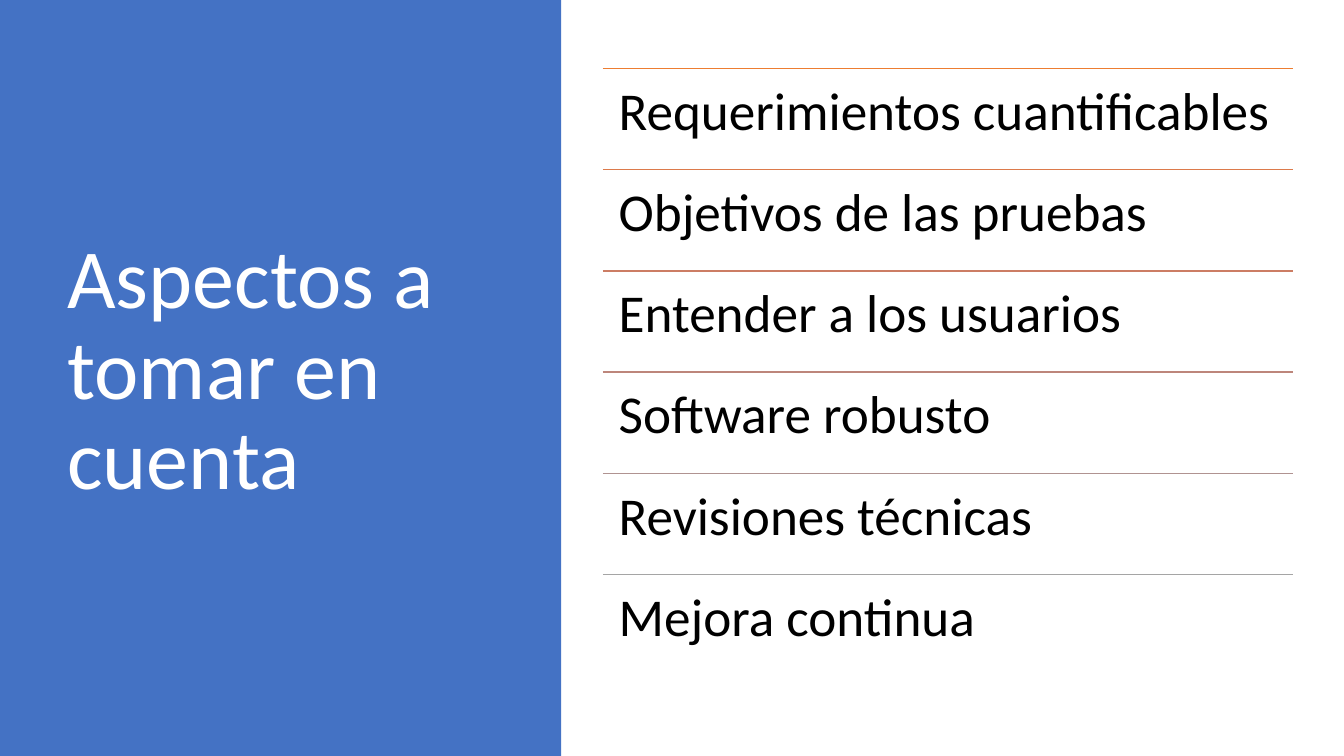
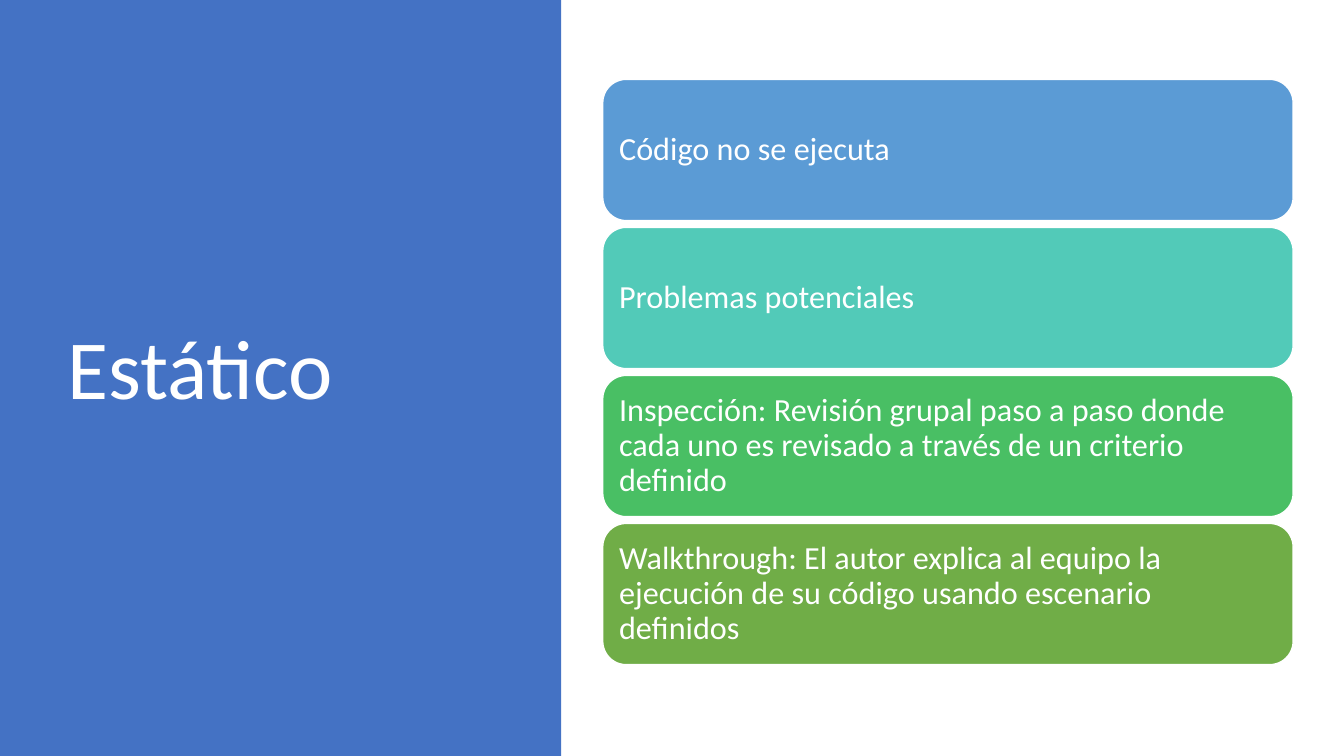
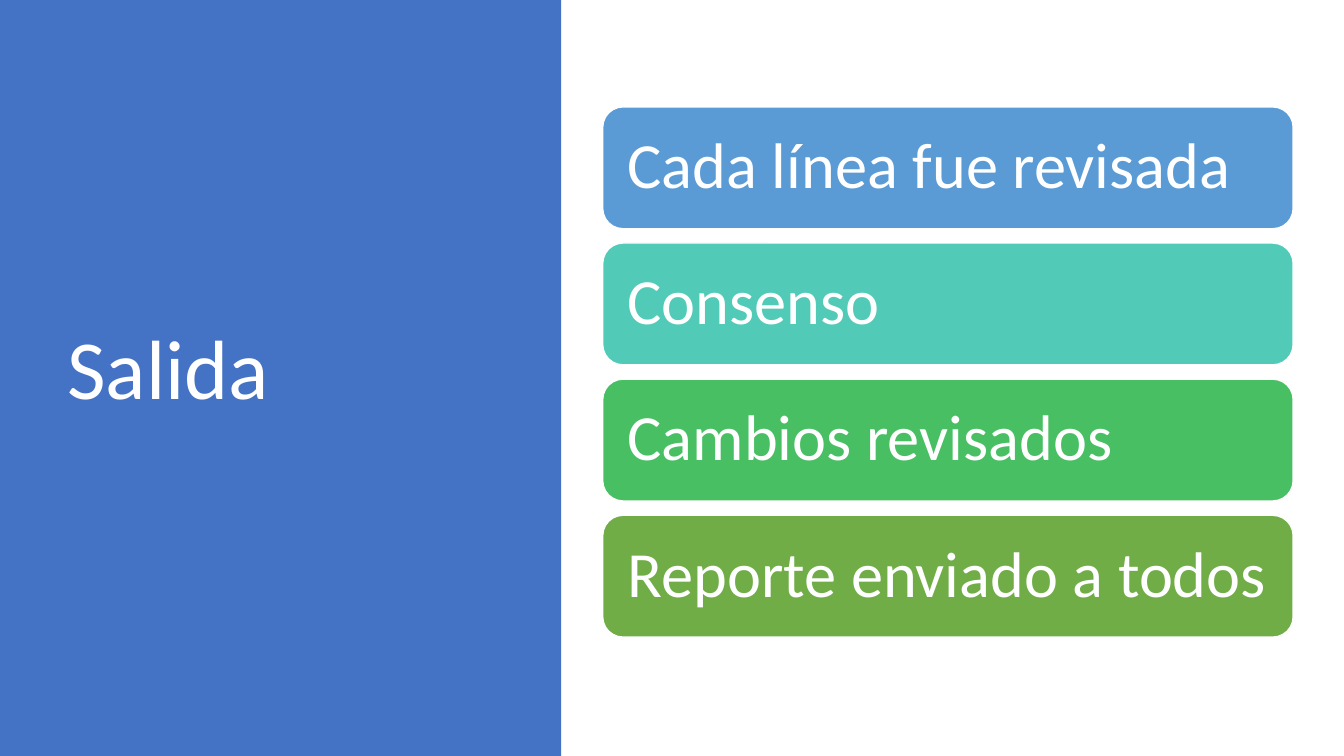
from dataclasses import dataclass
from typing import Any

from lxml import etree
from pptx import Presentation
from pptx.dml.color import RGBColor
from pptx.enum.shapes import MSO_CONNECTOR, MSO_SHAPE
from pptx.enum.text import MSO_ANCHOR, PP_ALIGN
from pptx.oxml.ns import qn
from pptx.util import Cm, Pt

RECTANGLE = MSO_SHAPE.RECTANGLE
ROUNDED_RECTANGLE = MSO_SHAPE.ROUNDED_RECTANGLE
STRAIGHT = MSO_CONNECTOR.STRAIGHT
TOP = MSO_ANCHOR.TOP
MIDDLE = MSO_ANCHOR.MIDDLE
LEFT = PP_ALIGN.LEFT
BLANK_LAYOUT = 6


@dataclass(frozen=True)
class Theme:
    font: str = "Calibri"
    panel: str = "4472C4"
    light: str = "FFFFFF"
    dark: str = "000000"
    rules: tuple[str, ...] = ("ED7D31", "DC7A4B", "CC7D64", "BD867B", "B09391", "A5A5A5")
    cards: tuple[str, ...] = ("5B9BD5", "52CAB8", "49BF64", "70AD47")
    title_size: int = 60
    row_size: int = 38
    long_card_size: int = 23
    short_card_size: int = 46
    line_spacing: float = 0.9
    line_width: int = 1


@dataclass(frozen=True)
class Box:
    """A rectangle in centimetres."""
    left: float
    top: float
    width: float
    height: float

    def lengths(self) -> tuple[Cm, Cm, Cm, Cm]:
        return Cm(self.left), Cm(self.top), Cm(self.width), Cm(self.height)


@dataclass(frozen=True)
class TextStyle:
    size: int
    color: str
    anchor: MSO_ANCHOR
    inset_x: float
    inset_y: float


@dataclass(frozen=True)
class ItemStack:
    """Equal items, stacked around the middle of the title."""
    items: tuple[str, ...]
    height: float
    gap: float
    style: TextStyle

    def boxes(self) -> list[Box]:
        pitch = self.height + self.gap
        total = pitch * len(self.items) - self.gap
        top = TITLE.top + (TITLE.height - total) / 2
        return [
            Box(STACK_LEFT, top + index * pitch, STACK_WIDTH, self.height)
            for index in range(len(self.items))
        ]


THEME = Theme()
SLIDE_WIDTH, SLIDE_HEIGHT = 33.87, 19.05
PANEL = Box(0, 0, 14.14, SLIDE_HEIGHT)
TITLE = Box(1.45, 1.73, 10.57, 15.29)
STACK_LEFT, STACK_WIDTH = 15.19, 17.4

TITLE_STYLE = TextStyle(THEME.title_size, THEME.light, MIDDLE, 0.25, 0.13)
ROW_STYLE = TextStyle(THEME.row_size, THEME.dark, TOP, 0.4, 0.4)
LONG_CARD_STYLE = TextStyle(THEME.long_card_size, THEME.light, MIDDLE, 0.24, 0.24)
SHORT_CARD_STYLE = TextStyle(THEME.short_card_size, THEME.light, MIDDLE, 0.48, 0.48)

ASPECTS = ItemStack(
    (
        "Requerimientos cuantificables",
        "Objetivos de las pruebas",
        "Entender a los usuarios",
        "Software robusto",
        "Revisiones técnicas",
        "Mejora continua",
    ),
    2.55, 0, ROW_STYLE,
)
STATIC_TESTS = ItemStack(
    (
        "Código no se ejecuta",
        "Problemas potenciales",
        "Inspección: Revisión grupal paso a paso donde cada uno es revisado "
        "a través de un criterio definido",
        "Walkthrough: El autor explica al equipo la ejecución de su código "
        "usando escenario definidos",
    ),
    3.56, 0.17, LONG_CARD_STYLE,
)
OUTPUTS = ItemStack(
    (
        "Cada línea fue revisada",
        "Consenso",
        "Cambios revisados",
        "Reporte enviado a todos",
    ),
    3.07, 0.36, SHORT_CARD_STYLE,
)


def apply_format(target: Any, values: dict[str, Any]) -> None:
    for name, value in values.items():
        setattr(target, name, value)


def write_text(shape: Any, text: str, style: TextStyle) -> None:
    frame = shape.text_frame
    paragraph = frame.paragraphs[0]
    run = paragraph.add_run()
    run.text = text
    apply_format(frame, {
        "word_wrap": True,
        "vertical_anchor": style.anchor,
        "margin_left": Cm(style.inset_x),
        "margin_right": Cm(style.inset_x),
        "margin_top": Cm(style.inset_y),
        "margin_bottom": Cm(style.inset_y),
    })
    apply_format(paragraph, {"alignment": LEFT, "line_spacing": THEME.line_spacing})
    apply_format(run.font, {"name": THEME.font, "size": Pt(style.size)})
    run.font.color.rgb = RGBColor.from_string(style.color)


def add_text(slide: Any, box: Box, text: str, style: TextStyle) -> None:
    write_text(slide.shapes.add_textbox(*box.lengths()), text, style)


def set_line(line: Any, color: str) -> None:
    line.color.rgb = RGBColor.from_string(color)
    line.width = Pt(THEME.line_width)


def add_filled_shape(slide: Any, kind: MSO_SHAPE, box: Box, color: str) -> Any:
    shape = slide.shapes.add_shape(kind, *box.lengths())
    shape.shadow.inherit = False
    shape.fill.solid()
    shape.fill.fore_color.rgb = RGBColor.from_string(color)
    shape.line.fill.background()
    return shape


def add_rule(slide: Any, box: Box, color: str) -> None:
    """Draw a line along the top edge of the box."""
    left, top, width, _ = box.lengths()
    rule = slide.shapes.add_connector(STRAIGHT, left, top, left + width, top)
    set_line(rule.line, color)
    etree.SubElement(rule._element.spPr, qn("a:effectLst"))


def add_titled_slide(presentation: Any, title: str) -> Any:
    slide = presentation.slides.add_slide(presentation.slide_layouts[BLANK_LAYOUT])
    add_filled_shape(slide, RECTANGLE, PANEL, THEME.panel)
    add_text(slide, TITLE, title, TITLE_STYLE)
    return slide


def add_ruled_rows(slide: Any, stack: ItemStack) -> None:
    for text, box, color in zip(stack.items, stack.boxes(), THEME.rules):
        add_rule(slide, box, color)
        add_text(slide, box, text, stack.style)


def add_cards(slide: Any, stack: ItemStack) -> None:
    for text, box, color in zip(stack.items, stack.boxes(), THEME.cards):
        card = add_filled_shape(slide, ROUNDED_RECTANGLE, box, color)
        set_line(card.line, THEME.light)
        write_text(card, text, stack.style)


def main() -> None:
    presentation = Presentation()
    apply_format(presentation, {
        "slide_width": Cm(SLIDE_WIDTH),
        "slide_height": Cm(SLIDE_HEIGHT),
    })
    add_ruled_rows(add_titled_slide(presentation, "Aspectos a tomar en cuenta"), ASPECTS)
    add_cards(add_titled_slide(presentation, "Estático"), STATIC_TESTS)
    add_cards(add_titled_slide(presentation, "Salida"), OUTPUTS)
    presentation.save("out.pptx")


if __name__ == "__main__":
    main()
